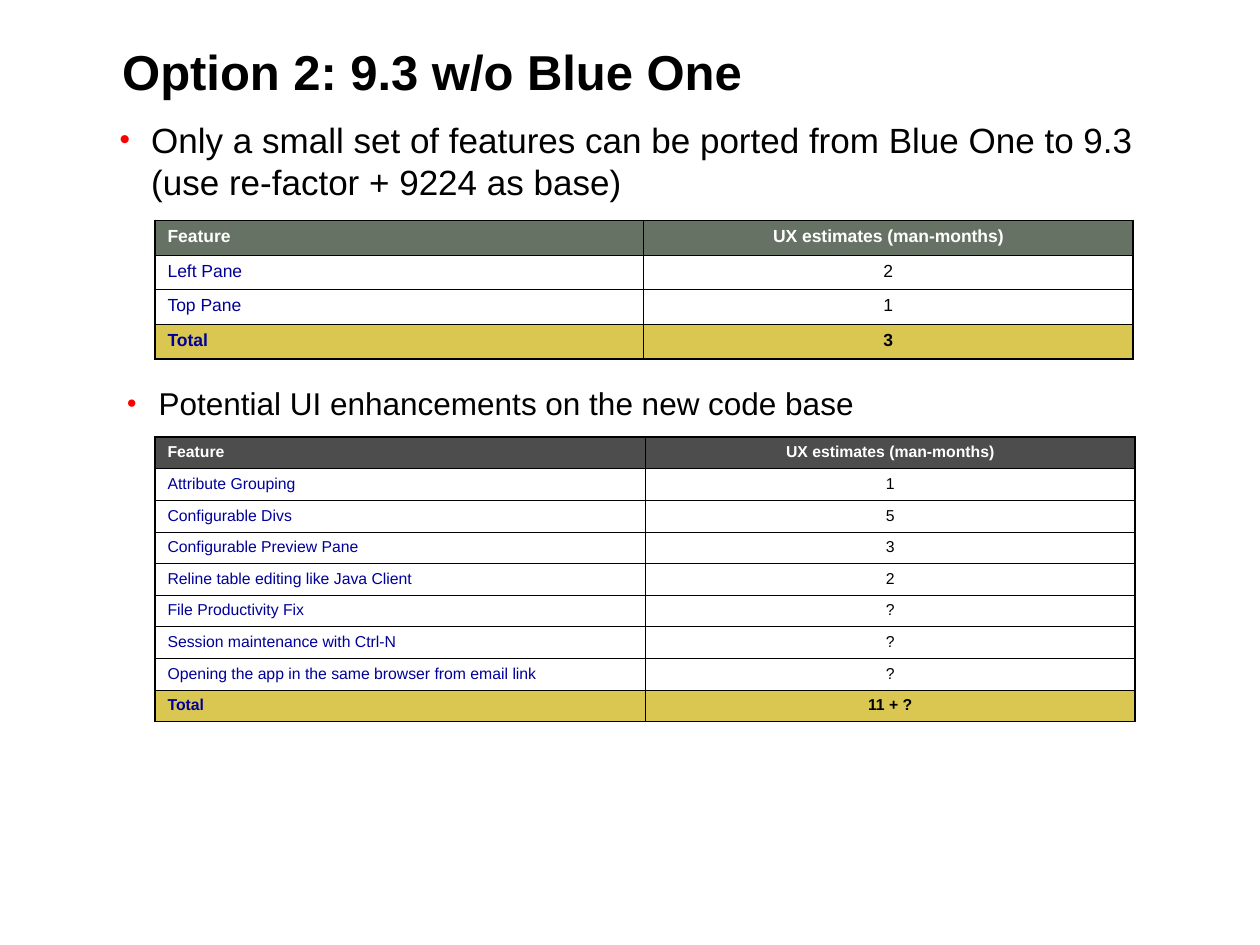
from lxml import etree
from pptx import Presentation
from pptx import util as u
from pptx.dml.color import RGBColor
from pptx.enum import text
from pptx.oxml import ns

BLACK, WHITE, NAVY, RED, GOLD = "000000", "FFFFFF", "000099", "FD0000", "DAC752"
THICK, THIN = 1.08, 0.45


def color(value):
    return RGBColor.from_string(value)


def add_element(parent, tag, **attributes):
    return etree.SubElement(parent, ns.qn(tag), **attributes)


class SlideBuilder:
    """Holds the font and the current slide, and adds each kind of element."""

    def __init__(self, page, font="Arial"):
        self.page = page
        self.font = font

    def span(self, para, words, size, ink=BLACK, bold=False):
        span = para.add_run()
        span.text = words
        span.font.name = self.font
        span.font.size = u.Pt(size)
        span.font.bold = bold
        span.font.color.rgb = color(ink)

    def text(self, words, left, top, width, height, size, bold=False):
        box = self.page.shapes.add_textbox(*map(u.Inches, (left, top, width, height)))
        frame = box.text_frame
        frame.word_wrap = True
        frame.margin_left = frame.margin_right = 0
        frame.margin_top = frame.margin_bottom = 0
        para = frame.paragraphs[0]
        self.span(para, words, size, bold=bold)
        return para

    def bullet(self, words, left, top, width, height, size):
        para = self.text(words, left, top, width, height, size)
        props = para._p.get_or_add_pPr()
        props.set("marL", str(u.Inches(0.25)))
        props.set("indent", str(-u.Inches(0.25)))
        add_element(add_element(props, "a:buClr"), "a:srgbClr", val=RED)
        add_element(props, "a:buSzPct", val="85000")
        add_element(props, "a:buFont", typeface=self.font)
        add_element(props, "a:buChar", char="•")

    def borders(self, cell, outer_sides):
        props = cell._tc.get_or_add_tcPr()
        for side in "LRTB":
            weight = THICK if side in outer_sides else THIN
            line = add_element(props, f"a:ln{side}", w=str(u.Pt(weight)))
            add_element(add_element(line, "a:solidFill"), "a:srgbClr", val=BLACK)

    def table(self, rows, left, top, width, height, size, header_fill):
        shape = self.page.shapes.add_table(
            len(rows), 2, *map(u.Inches, (left, top, width, height)))
        table = shape.table
        table.first_row = table.horz_banding = False
        last = len(rows) - 1
        fills = {0: header_fill, last: GOLD}
        for r, row in enumerate(rows):
            table.rows[r].height = u.Inches(height / len(rows))
            for c, words in enumerate(row):
                cell = table.cell(r, c)
                self.borders(cell, "LR"[c] + "T" * (r == 0) + "B" * (r == last))
                if r in fills:
                    cell.fill.solid()
                    cell.fill.fore_color.rgb = color(fills[r])
                else:
                    cell.fill.background()
                para = cell.text_frame.paragraphs[0]
                if c == 1:
                    para.alignment = text.PP_ALIGN.CENTER
                ink = WHITE if r == 0 else (NAVY, BLACK)[c]
                self.span(para, words, size, ink, bold=r in fills)


def main():
    deck = Presentation()
    deck.slide_width, deck.slide_height = u.Inches(10), u.Inches(7.5)
    slide = SlideBuilder(deck.slides.add_slide(deck.slide_layouts[6]))
    header = ("Feature", "UX estimates (man-months)")

    slide.text("Option 2: 9.3 w/o Blue One", 0.97, 0.33, 8.29, 1.03, 28, bold=True)
    slide.table([
        header,
        ("Left Pane", "2"),
        ("Top Pane", "1"),
        ("Total", "3"),
    ], 1.23, 1.75, 7.76, 1.1, 10, "667263")
    slide.bullet("Only a small set of features can be ported from Blue One to 9.3 "
                 "(use re-factor + 9224 as base)", 0.95, 0.94, 8.24, 0.72, 20)
    slide.bullet("Potential UI enhancements on the new code base",
                 1.01, 3.05, 8.24, 0.31, 18)
    slide.table([
        header,
        ("Attribute Grouping", "1"),
        ("Configurable Divs", "5"),
        ("Configurable Preview Pane", "3"),
        ("Reline table editing like Java Client", "2"),
        ("File Productivity Fix", "?"),
        ("Session maintenance with Ctrl-N", "?"),
        ("Opening the app in the same browser from email link", "?"),
        ("Total", "11 + ?"),
    ], 1.23, 3.47, 7.78, 2.23, 9, "4D4D4D")
    deck.save("out.pptx")


if __name__ == "__main__":
    main()
